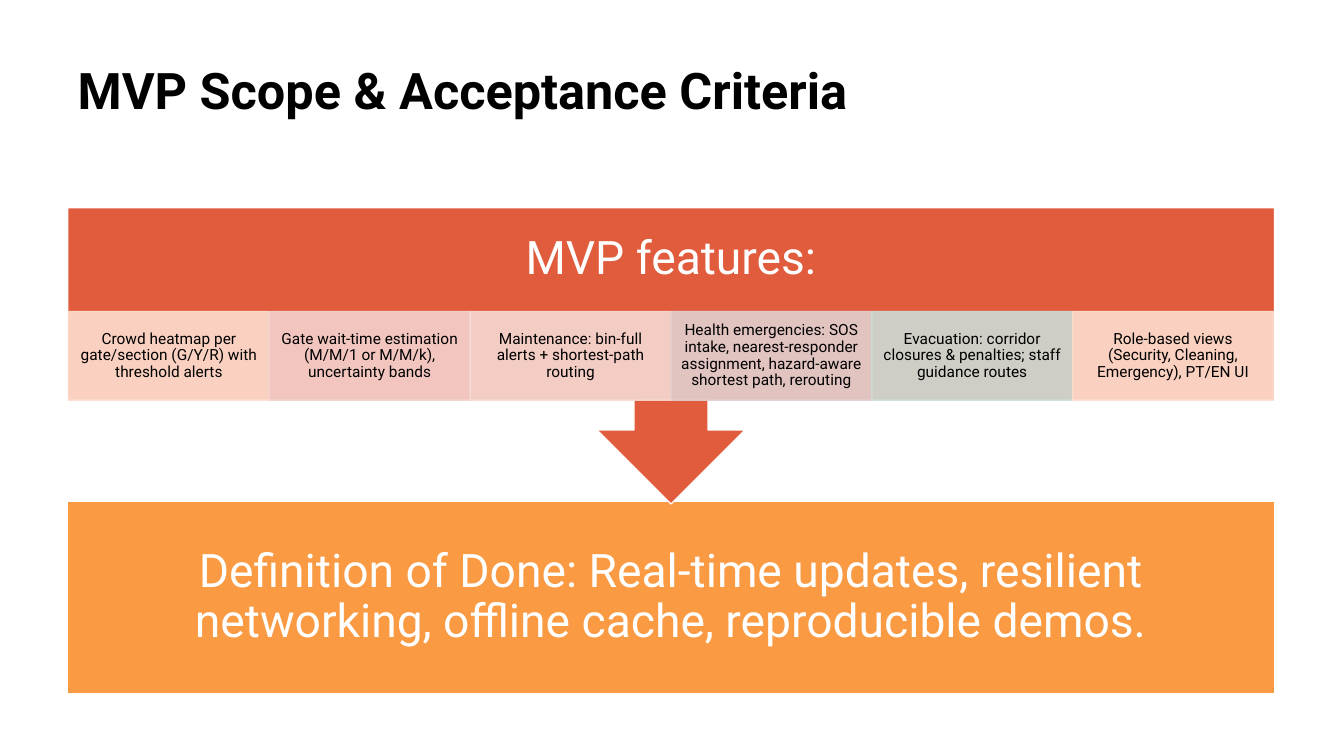
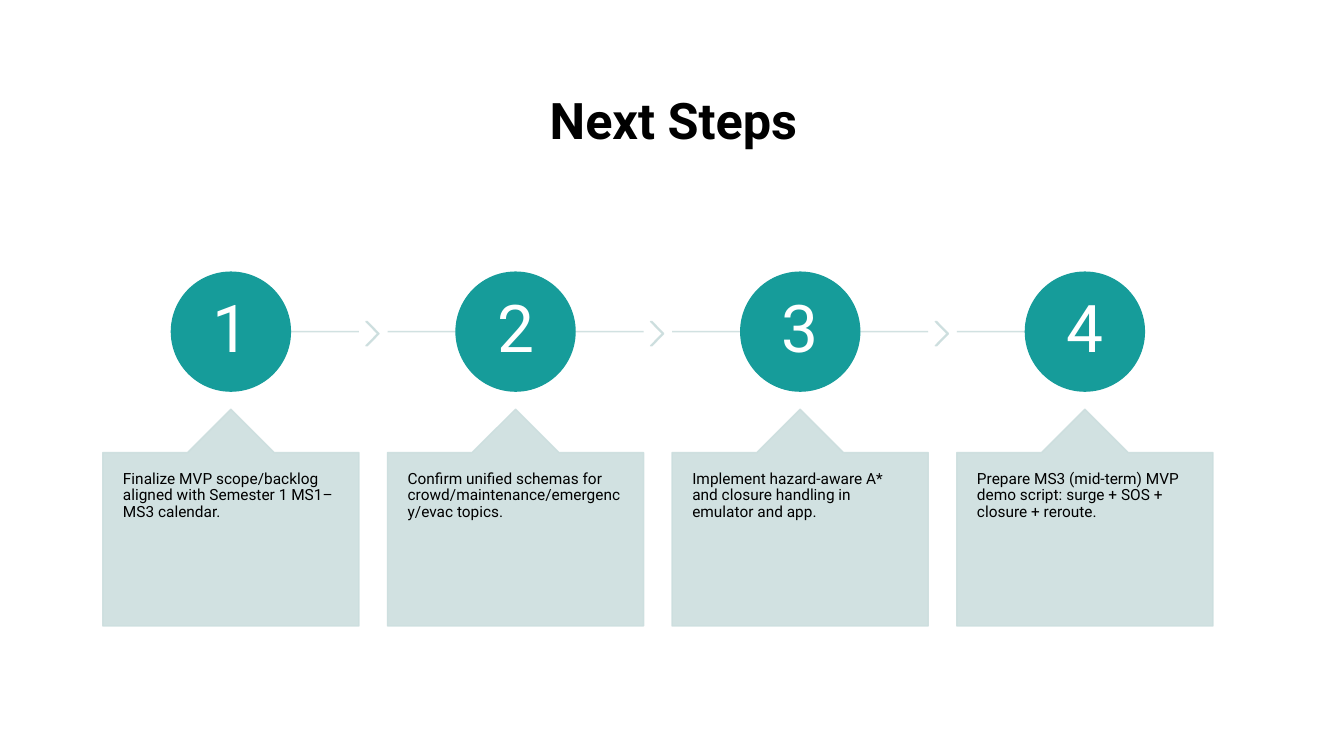
from lxml import etree
from pptx import Presentation
from pptx.dml.color import RGBColor
from pptx.enum.shapes import MSO_CONNECTOR, MSO_SHAPE
from pptx.enum.text import MSO_ANCHOR, MSO_AUTO_SIZE, PP_ALIGN
from pptx.oxml.ns import qn
from pptx.util import Inches, Pt

RECTANGLE, OVAL, CHEVRON = MSO_SHAPE.RECTANGLE, MSO_SHAPE.OVAL, MSO_SHAPE.CHEVRON
CALLOUT = MSO_SHAPE.UP_ARROW_CALLOUT
STRAIGHT = MSO_CONNECTOR.STRAIGHT
TOP, MIDDLE = MSO_ANCHOR.TOP, MSO_ANCHOR.MIDDLE
LEFT, CENTER = PP_ALIGN.LEFT, PP_ALIGN.CENTER
NO_AUTOFIT = MSO_AUTO_SIZE.NONE

FONT = "Roboto"
BLACK = RGBColor(0x00, 0x00, 0x00)
WHITE = RGBColor(0xFF, 0xFF, 0xFF)
RED = RGBColor(0xE1, 0x5C, 0x3D)
ORANGE = RGBColor(0xFA, 0x9A, 0x42)
TEAL = RGBColor(0x16, 0x9C, 0x9A)
MIST = RGBColor(0xCC, 0xDE, 0xDE)
PEACH = RGBColor(0xFD, 0xDE, 0xCF)
ROSE = RGBColor(0xF4, 0xD2, 0xCE)
BLUSH = RGBColor(0xF6, 0xDA, 0xD3)
MAUVE = RGBColor(0xE1, 0xD0, 0xCF)
SAGE = RGBColor(0xCE, 0xDB, 0xD5)

FEATURES = [
    ("Crowd heatmap per gate/section (G/Y/R) with threshold alerts", PEACH),
    ("Gate wait-time estimation (M/M/1 or M/M/k), uncertainty bands", ROSE),
    ("Maintenance: bin-full alerts + shortest-path routing", BLUSH),
    ("Health emergencies: SOS intake, nearest-responder assignment, "
     "hazard-aware shortest path, rerouting", MAUVE),
    ("Evacuation: corridor closures & penalties; staff guidance routes", SAGE),
    ("Role-based views (Security, Cleaning, Emergency), PT/EN UI", PEACH),
]
STEPS = [
    "Finalize MVP scope/backlog aligned with Semester 1 MS1–MS3 calendar.",
    "Confirm unified schemas for crowd/maintenance/emergency/evac topics.",
    "Implement hazard-aware A* and closure handling in emulator and app.",
    "Prepare MS3 (mid-term) MVP demo script: surge + SOS + closure + reroute.",
]


class Deck:
    """Shared style plus the slide being built."""

    def __init__(self):
        self.presentation = Presentation()
        self.presentation.slide_width = Inches(13.33)
        self.presentation.slide_height = Inches(7.5)
        self.slide = None

    def new_slide(self, title, box, align=LEFT, anchor=TOP):
        layout = self.presentation.slide_layouts[5]
        self.slide = self.presentation.slides.add_slide(layout)
        heading = self.slide.shapes.title
        heading.left, heading.top, heading.width, heading.height = map(Inches, box)
        self.set_text(heading, title, 36, BLACK, align, anchor, bold=True)

    def set_text(self, shape, text, size, color, align=CENTER, anchor=MIDDLE,
                 insets=(0.1, 0.05), bold=False):
        frame = shape.text_frame
        frame.word_wrap = True
        frame.auto_size = NO_AUTOFIT
        frame.vertical_anchor = anchor
        frame.margin_left = frame.margin_right = Inches(insets[0])
        frame.margin_top = frame.margin_bottom = Inches(insets[1])
        paragraph = frame.paragraphs[0]
        paragraph.alignment = align
        paragraph.line_spacing = 0.9
        run = paragraph.add_run()
        run.text = text
        run.font.name, run.font.size, run.font.bold = FONT, Pt(size), bold
        run.font.color.rgb = color

    def soften(self, shape):
        """Make every colour of the shape 90% opaque."""
        for color in shape._element.spPr.iter(qn("a:srgbClr")):
            etree.SubElement(color, qn("a:alpha")).set("val", "90000")

    def shape(self, kind, box, fill, outline=None, soft=False, adjustments=()):
        shape = self.slide.shapes.add_shape(kind, *map(Inches, box))
        shape.shadow.inherit = False
        shape.fill.solid()
        shape.fill.fore_color.rgb = fill
        shape.line.color.rgb = outline or fill
        shape.line.width = Pt(1)
        for index, value in enumerate(adjustments):
            shape.adjustments[index] = value
        if soft:
            self.soften(shape)
        return shape

    def label(self, box, text, size, color, **style):
        self.set_text(self.slide.shapes.add_textbox(*map(Inches, box)),
                      text, size, color, **style)

    def rule(self, start, end, y, color):
        line = self.slide.shapes.add_connector(
            STRAIGHT, Inches(start), Inches(y), Inches(end), Inches(y))
        line.line.color.rgb = color
        line.line.width = Pt(1)
        self.soften(line)
        etree.SubElement(line._element.spPr, qn("a:effectLst"))


def build_scope(deck):
    left, width = 0.67, 11.97
    deck.new_slide("MVP Scope & Acceptance Criteria", (left, 0.6, width, 1.24))

    # Definition of done
    done = deck.shape(RECTANGLE, (left, 4.97, width, 1.91), ORANGE, WHITE)
    deck.set_text(done, "Definition of Done: Real-time updates, resilient networking, "
                  "offline cache, reproducible demos.", 33, WHITE, insets=(0.26, 0.26))

    # Header band with its arrow pointing down
    header = deck.shape(CALLOUT, (left, 2.06, width, 2.94), RED, WHITE)
    header.rotation = 180
    deck.label((left, 2.06, width, 1.03), "MVP features:", 33, WHITE,
               insets=(0.26, 0.26))

    # Feature strip
    cell_width = 11.95 / len(FEATURES)
    for index, (text, fill) in enumerate(FEATURES):
        cell = deck.shape(RECTANGLE, (0.68 + index * cell_width, 3.09, cell_width, 0.88),
                          fill, soft=True)
        deck.set_text(cell, text, 11, BLACK, insets=(0.09, 0.02))


def build_next_steps(deck):
    deck.new_slide("Next Steps", (1.67, 0.6, 10.02, 1.24), CENTER, MIDDLE)
    first_left, last_left = 1.02, 9.49
    card_width, circle_size = 2.54, 1.18
    last = len(STEPS) - 1
    pitch = (last_left - first_left) / last

    for index, text in enumerate(STEPS):
        left = first_left + index * pitch
        center, right = left + card_width / 2, left + card_width

        # Timeline and the chevron to the next step
        deck.rule(center if index == 0 else left,
                  center if index == last else right, 3.29, MIST)
        if index < last:
            deck.shape(CHEVRON, (right + 0.07, 3.19, 0.13, 0.24), MIST,
                       soft=True, adjustments=(0.9,))

        # Step number
        circle = deck.shape(OVAL, (center - circle_size / 2, 2.7, circle_size, circle_size),
                            TEAL)
        deck.set_text(circle, str(index + 1), 47, WHITE, insets=(0.05, 0.05))

        # Step card
        deck.shape(CALLOUT, (left, 4.06, card_width, 2.15), MIST, soft=True,
                   adjustments=(0.5, 0.2, 0.2, 1))
        deck.label((left, 4.49, card_width, 1.72), text, 11, BLACK,
                   align=LEFT, anchor=TOP, insets=(0.2, 0.18))


def main():
    deck = Deck()
    build_scope(deck)
    build_next_steps(deck)
    deck.presentation.save("out.pptx")


if __name__ == "__main__":
    main()
